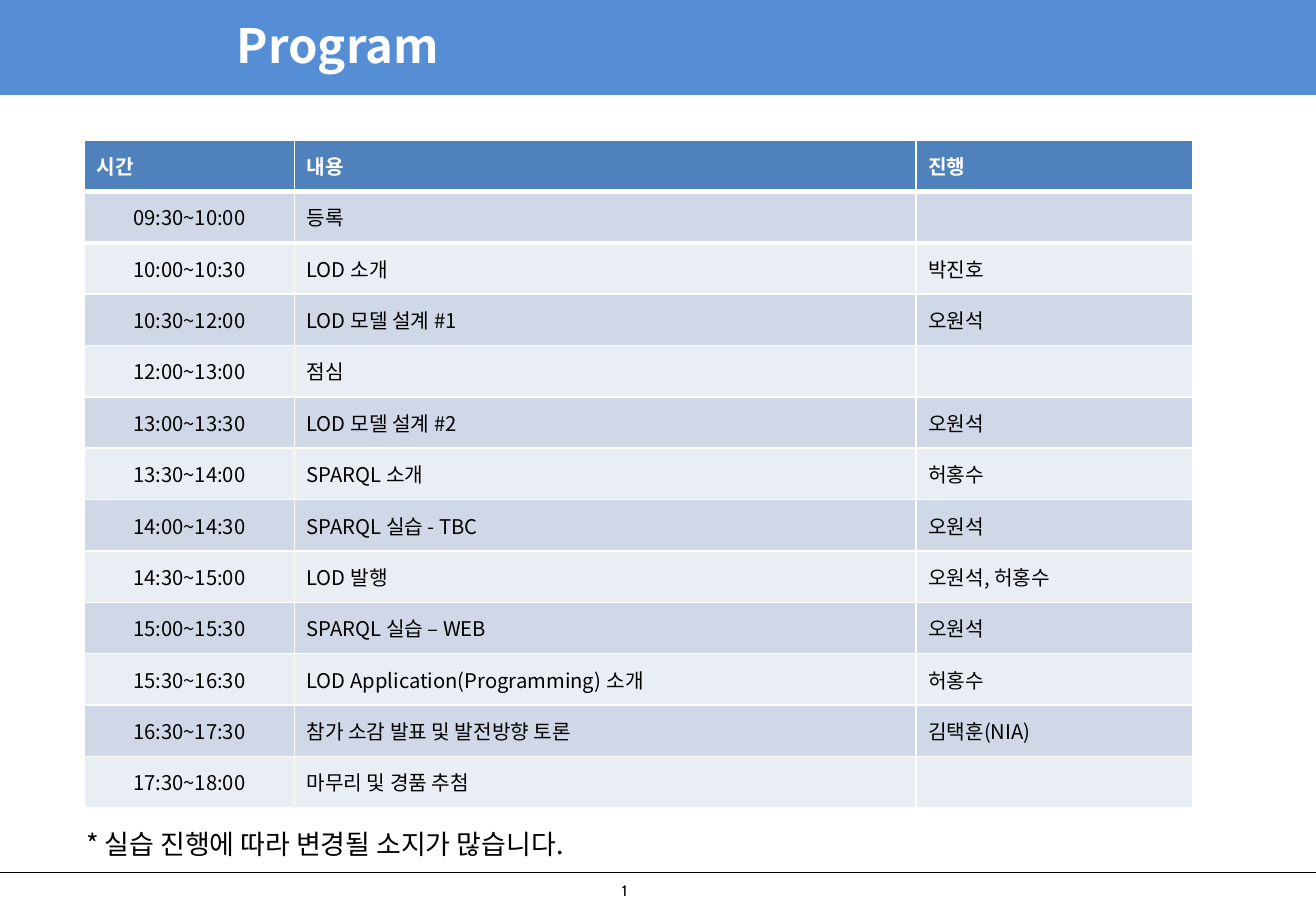
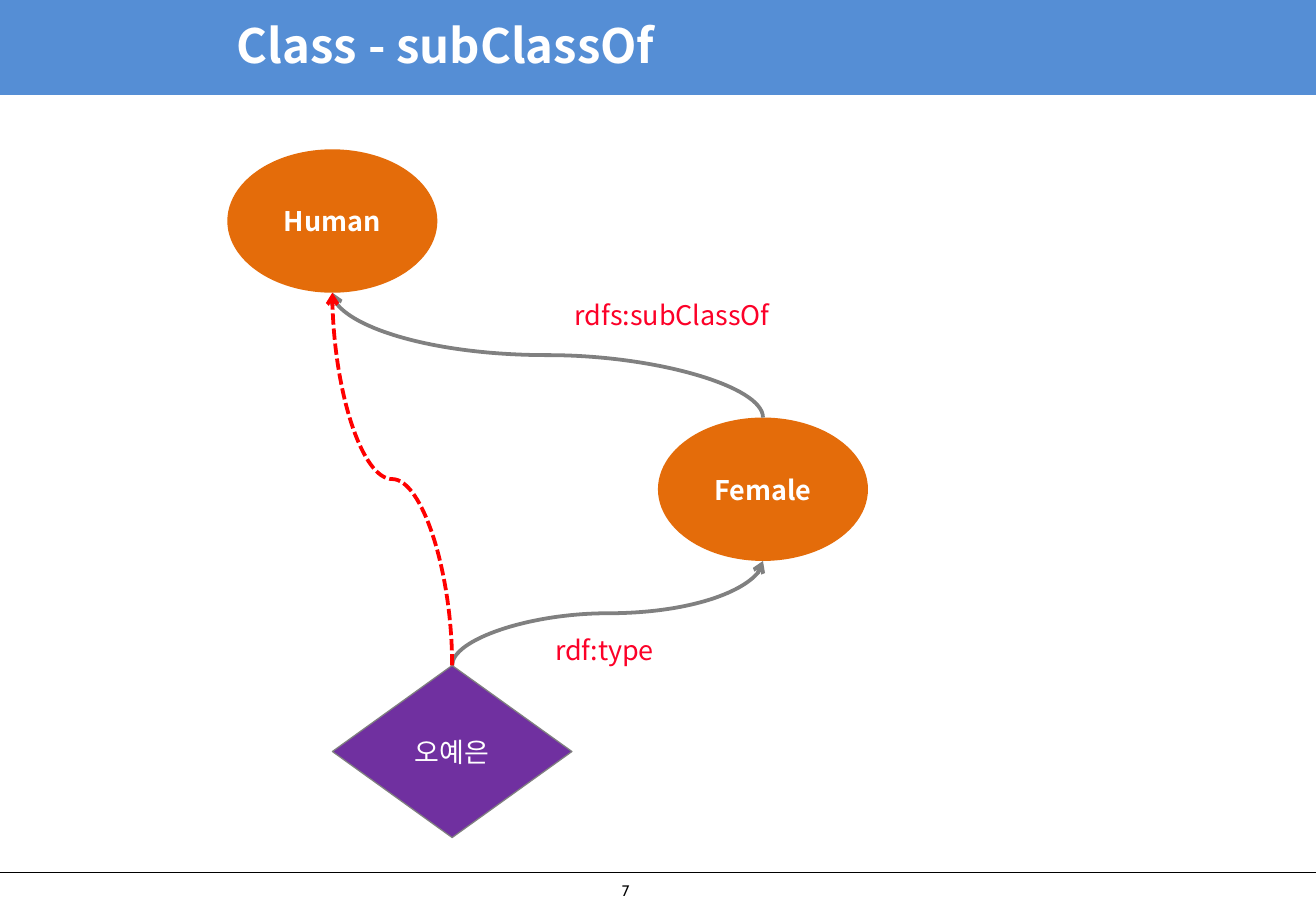
from dataclasses import dataclass
from typing import NamedTuple, Optional

from lxml import etree
from pptx import Presentation
from pptx.dml.color import RGBColor
from pptx.enum.dml import MSO_LINE
from pptx.enum.shapes import MSO_CONNECTOR, MSO_SHAPE
from pptx.enum.text import MSO_ANCHOR, MSO_AUTO_SIZE, PP_ALIGN
from pptx.oxml.ns import qn
from pptx.util import Pt

RECTANGLE, ELLIPSE, DIAMOND = MSO_SHAPE.RECTANGLE, MSO_SHAPE.OVAL, MSO_SHAPE.DIAMOND
STRAIGHT, CURVE = MSO_CONNECTOR.STRAIGHT, MSO_CONNECTOR.CURVE
LEFT, CENTER, MIDDLE = PP_ALIGN.LEFT, PP_ALIGN.CENTER, MSO_ANCHOR.MIDDLE
FIT_SHAPE, NO_FIT = MSO_AUTO_SIZE.SHAPE_TO_FIT_TEXT, MSO_AUTO_SIZE.NONE
DASHED = MSO_LINE.SQUARE_DOT

WHITE = RGBColor(0xFF, 0xFF, 0xFF)
BLACK = RGBColor(0x00, 0x00, 0x00)
BAND_BLUE = RGBColor(0x55, 0x8E, 0xD5)
HEADER_BLUE = RGBColor(0x4F, 0x81, 0xBD)
ROW_FILLS = (RGBColor(0xD0, 0xD8, 0xE8), RGBColor(0xE9, 0xED, 0xF4))
CLASS_ORANGE = RGBColor(0xE4, 0x6C, 0x0A)
INSTANCE_PURPLE = RGBColor(0x70, 0x30, 0xA0)
GRAY = RGBColor(0x80, 0x80, 0x80)
RED = RGBColor(0xFF, 0x00, 0x00)
LABEL_RED = RGBColor(0xFC, 0x01, 0x28)

BODY_FONT, NUMBER_FONT = "Noto Sans CJK KR", "Cabin"
SLIDE_WIDTH, SLIDE_HEIGHT = 780, 540
TITLE_ONLY = 5


class Box(NamedTuple):
    left: float
    top: float
    width: float
    height: float

    def lengths(self) -> tuple:
        return tuple(Pt(value) for value in self)


BAND = Box(0, -2, SLIDE_WIDTH, 57.5)
TITLE = Box(133.25, -2, 636.5, 57.5)
PAGE_NUMBER = Box(361.5, 519, 28, 18)
FOOTER_LINE_Y = 517


@dataclass
class Node:
    text: str
    kind: int
    box: Box
    fill: RGBColor
    line: Optional[RGBColor] = None
    bold: bool = False

    @property
    def top(self) -> tuple:
        return self.box.left + self.box.width / 2, self.box.top

    @property
    def bottom(self) -> tuple:
        return self.top[0], self.box.top + self.box.height


@dataclass
class Link:
    start: tuple
    end: tuple
    color: RGBColor = GRAY
    dash: Optional[int] = None


class Label(NamedTuple):
    text: str
    box: Box


def write(frame, text: str, size: float, color: RGBColor, bold: bool = False,
          align: int = LEFT, font_name: str = BODY_FONT) -> None:
    paragraph = frame.paragraphs[0]
    paragraph.text = text
    paragraph.alignment = align
    font = paragraph.font
    font.size, font.bold, font.name = Pt(size), bold, font_name
    font.color.rgb = color
    etree.SubElement(font._element, qn("a:ea")).set("typeface", font_name)


def add_text(slide, box: Box, text: str, size: float, color: RGBColor,
             wrap: bool = False, font_name: str = BODY_FONT) -> None:
    frame = slide.shapes.add_textbox(*box.lengths()).text_frame
    frame.word_wrap = wrap
    frame.auto_size = FIT_SHAPE
    write(frame, text, size, color, font_name=font_name)


def add_filled_shape(slide, kind: int, box: Box, fill: RGBColor,
                     line: Optional[RGBColor], line_width: float = 0.75):
    shape = slide.shapes.add_shape(kind, *box.lengths())
    shape.shadow.inherit = False
    shape.fill.solid()
    shape.fill.fore_color.rgb = fill
    if line is None:
        shape.line.fill.background()
    else:
        shape.line.color.rgb = line
        shape.line.width = Pt(line_width)
    return shape


def add_line(slide, kind: int, start: tuple, end: tuple, color: RGBColor, width: float):
    connector = slide.shapes.add_connector(kind, *(Pt(value) for value in start + end))
    connector.line.color.rgb = color
    connector.line.width = Pt(width)
    etree.SubElement(connector._element.spPr, qn("a:effectLst"))
    return connector


def add_upward_curve(slide, link: Link) -> None:
    """Draw an S curve that leaves and arrives vertically, rising to its arrowhead."""
    connector = add_line(slide, CURVE, link.start, link.end, link.color, 2.25)
    if link.dash is not None:
        connector.line.dash_style = link.dash
    etree.SubElement(connector.line._get_or_add_ln(), qn("a:tailEnd")).set("type", "arrow")
    # A quarter turn swaps width and height about the centre
    (start_x, start_y), (end_x, end_y) = link.start, link.end
    run, rise = abs(end_x - start_x), start_y - end_y
    connector.left = Pt((start_x + end_x - rise) / 2)
    connector.top = Pt((start_y + end_y - run) / 2)
    connector.width, connector.height = Pt(rise), Pt(run)
    transform = connector._element.spPr.find(qn("a:xfrm"))
    transform.set("rot", str(270 * 60000))
    transform.set("flipH", "0")
    transform.set("flipV", "1" if end_x < start_x else "0")


def set_cell_border(cell, side: str, color: RGBColor, width: float) -> None:
    border = etree.Element(qn(side), w=str(Pt(width)))
    fill = etree.SubElement(border, qn("a:solidFill"))
    etree.SubElement(fill, qn("a:srgbClr")).set("val", str(color))
    cell._tc.get_or_add_tcPr().insert(0, border)


def add_slide(presentation, title_text: str, page: int):
    """Add a slide with the title band, footer line and page number."""
    slide = presentation.slides.add_slide(presentation.slide_layouts[TITLE_ONLY])
    add_filled_shape(slide, RECTANGLE, BAND, BAND_BLUE, BAND_BLUE, 2)
    add_line(slide, STRAIGHT, (0, FOOTER_LINE_Y), (SLIDE_WIDTH, FOOTER_LINE_Y), BLACK, 0.75)
    add_text(slide, PAGE_NUMBER, str(page), 9, BLACK, font_name=NUMBER_FONT)
    # Title goes in front of the band
    title = slide.shapes.title
    title.left, title.top, title.width, title.height = TITLE.lengths()
    title.text_frame.vertical_anchor = MIDDLE
    title.text_frame.auto_size = NO_FIT
    write(title.text_frame, title_text, 28, WHITE, bold=True)
    slide.shapes._spTree.append(title._element)
    return slide


# Program slide
COLUMN_WIDTHS = (124.5, 368.5, 164)
ROW_HEIGHT = 30.46
PROGRAM = (
    ("시간", "내용", "진행"),
    ("09:30~10:00", "등록", ""),
    ("10:00~10:30", "LOD 소개", "박진호"),
    ("10:30~12:00", "LOD 모델 설계 #1", "오원석"),
    ("12:00~13:00", "점심", ""),
    ("13:00~13:30", "LOD 모델 설계 #2", "오원석"),
    ("13:30~14:00", "SPARQL 소개", "허홍수"),
    ("14:00~14:30", "SPARQL 실습 - TBC", "오원석"),
    ("14:30~15:00", "LOD 발행", "오원석, 허홍수"),
    ("15:00~15:30", "SPARQL 실습 – WEB", "오원석"),
    ("15:30~16:30", "LOD Application(Programming) 소개", "허홍수"),
    ("16:30~17:30", "참가 소감 발표 및 발전방향 토론", "김택훈(NIA)"),
    ("17:30~18:00", "마무리 및 경품 추첨", ""),
)


def add_program(presentation) -> None:
    slide = add_slide(presentation, "Program", 1)
    box = Box(50, 83, sum(COLUMN_WIDTHS), ROW_HEIGHT * len(PROGRAM))
    table = slide.shapes.add_table(len(PROGRAM), len(COLUMN_WIDTHS), *box.lengths()).table
    for column, width in zip(table.columns, COLUMN_WIDTHS):
        column.width = Pt(width)
    for row_index, texts in enumerate(PROGRAM):
        table.rows[row_index].height = Pt(ROW_HEIGHT)
        header = row_index == 0
        for column_index, text in enumerate(texts):
            cell = table.cell(row_index, column_index)
            cell.fill.solid()
            cell.fill.fore_color.rgb = HEADER_BLUE if header else ROW_FILLS[(row_index - 1) % 2]
            cell.vertical_anchor = MIDDLE
            align = CENTER if column_index == 0 and not header else LEFT
            write(cell.text_frame, text, 12, WHITE if header else BLACK, header, align)
            # Thick rule between the header and the first row
            if row_index < 2:
                set_cell_border(cell, "a:lnB" if header else "a:lnT", WHITE, 3)
    add_text(slide, Box(44, 487, 680, 26.5), "* 실습 진행에 따라 변경될 소지가 많습니다.",
             16, BLACK, wrap=True)


# Class diagram slide
HUMAN = Node("Human", ELLIPSE, Box(134.75, 88.5, 124.5, 85), CLASS_ORANGE, bold=True)
FEMALE = Node("Female", ELLIPSE, Box(390, 247.5, 124.5, 85), CLASS_ORANGE, bold=True)
PERSON = Node("오예은", DIAMOND, Box(197, 394.5, 142, 102), INSTANCE_PURPLE, GRAY)
LINKS = (
    Link(FEMALE.top, HUMAN.bottom),
    Link(PERSON.top, FEMALE.bottom),
    Link(PERSON.top, HUMAN.bottom, RED, DASHED),
)
LABELS = (
    Label("rdfs:subClassOf", Box(333.5, 173.5, 136, 26.5)),
    Label("rdf:type", Box(322, 372.25, 75, 26.5)),
)


def add_class_diagram(presentation) -> None:
    slide = add_slide(presentation, "Class - subClassOf", 7)
    for node in (HUMAN, FEMALE, PERSON):
        shape = add_filled_shape(slide, node.kind, node.box, node.fill, node.line)
        shape.text_frame.vertical_anchor = MIDDLE
        write(shape.text_frame, node.text, 16, WHITE, node.bold, CENTER)
    for link in LINKS:
        add_upward_curve(slide, link)
    for label in LABELS:
        add_text(slide, label.box, label.text, 16, LABEL_RED)


def main() -> None:
    presentation = Presentation()
    presentation.slide_width, presentation.slide_height = Pt(SLIDE_WIDTH), Pt(SLIDE_HEIGHT)
    add_program(presentation)
    add_class_diagram(presentation)
    presentation.save("out.pptx")


if __name__ == "__main__":
    main()
